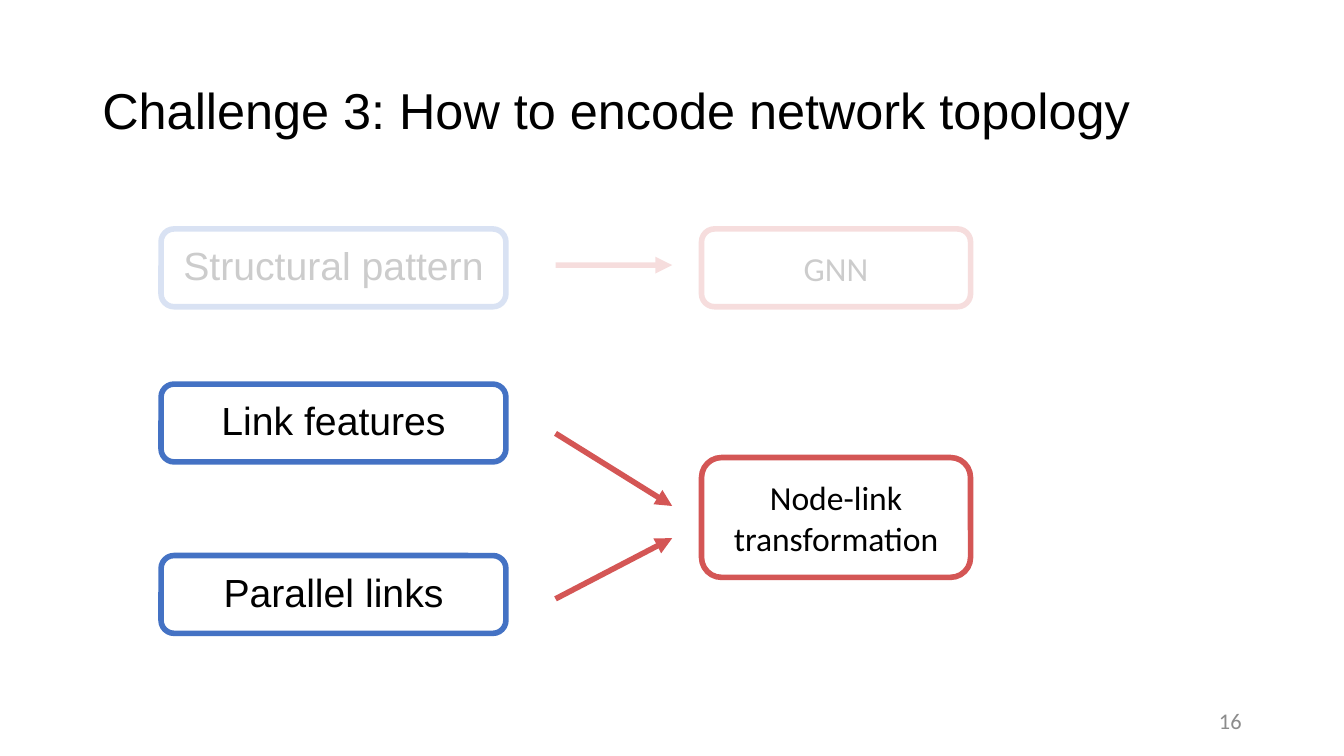
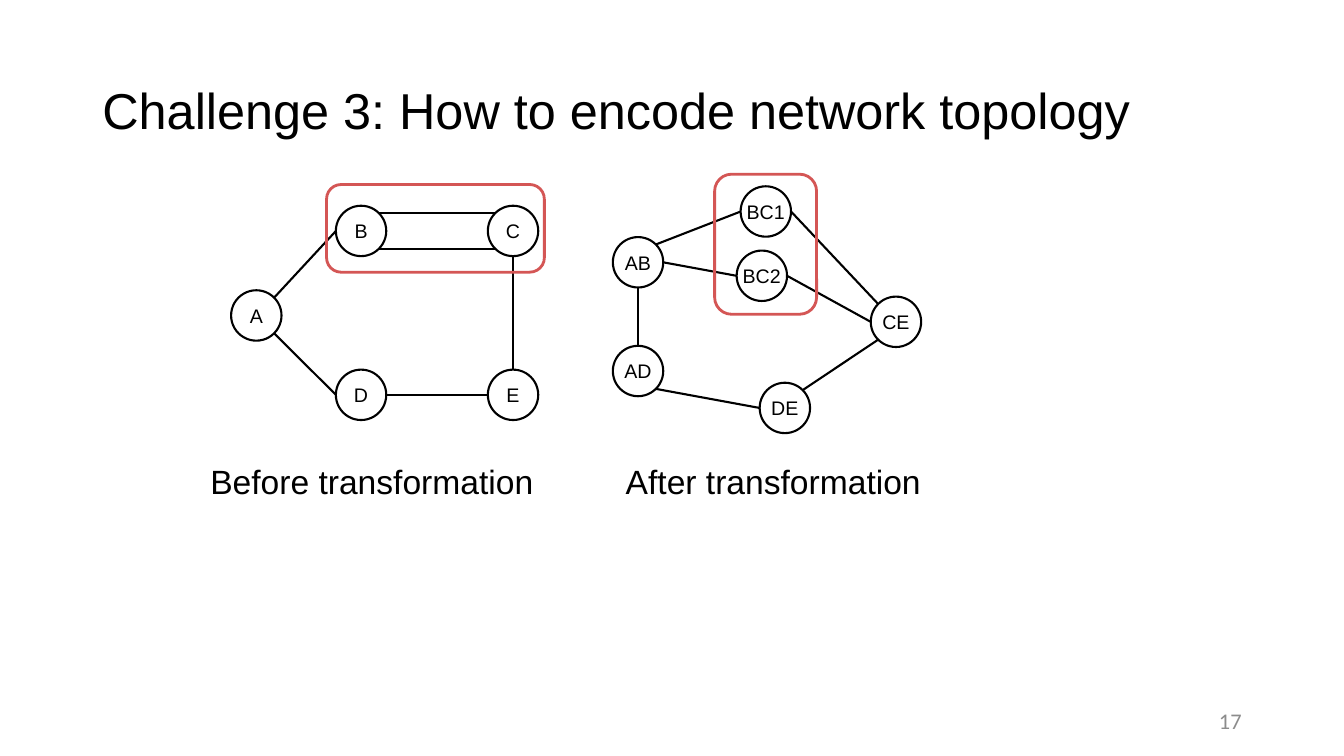
from math import sqrt

from lxml.etree import SubElement
from pptx import Presentation
from pptx.dml.color import RGBColor
from pptx.enum.shapes import MSO_CONNECTOR, MSO_SHAPE
from pptx.enum.text import MSO_ANCHOR, PP_ALIGN
from pptx.oxml.ns import qn
from pptx.util import Cm, Pt

BLACK = RGBColor(0x00, 0x00, 0x00)
WHITE = RGBColor(0xFF, 0xFF, 0xFF)
BLUE = RGBColor(0x44, 0x72, 0xC4)
RED = RGBColor(0xD4, 0x56, 0x55)
GREY = RGBColor(0x8C, 0x8C, 0x8C)

HEADING_FONT = "Arial"
BODY_FONT = "Calibri"
TITLE = "Challenge 3: How to encode network topology"

NODE_RADIUS = 0.635
DIAGONAL = sqrt(0.5)
RIM = {
    "n": (0, -1), "s": (0, 1), "w": (-1, 0), "e": (1, 0),
    "nw": (-DIAGONAL, -DIAGONAL), "ne": (DIAGONAL, -DIAGONAL),
    "sw": (-DIAGONAL, DIAGONAL), "se": (DIAGONAL, DIAGONAL),
}

BEFORE_NODES = {
    "A": (6.46, 7.95), "B": (9.1, 5.82), "C": (12.93, 5.82),
    "D": (9.1, 9.95), "E": (12.93, 9.95),
}
BEFORE_LINKS = [
    ("A", "ne", "B", "w"), ("A", "se", "D", "w"),
    ("B", "ne", "C", "nw"), ("B", "se", "C", "sw"),
    ("C", "s", "E", "n"), ("D", "e", "E", "w"),
]
AFTER_NODES = {
    "AB": (16.08, 6.61), "BC1": (19.3, 5.33), "BC2": (19.2, 6.95),
    "CE": (22.58, 8.11), "AD": (16.08, 9.35), "DE": (19.78, 10.28),
}
AFTER_LINKS = [
    ("AB", "ne", "BC1", "w"), ("AB", "e", "BC2", "w"),
    ("BC1", "e", "CE", "nw"), ("BC2", "e", "CE", "w"),
    ("AB", "s", "AD", "n"), ("AD", "se", "DE", "w"),
    ("DE", "ne", "CE", "sw"),
]


def fade(element, container):
    for color in element.findall(f".//{qn(container)}/{qn('a:solidFill')}/{qn('a:srgbClr')}"):
        SubElement(color, qn("a:alpha"), val="20000")


def write(frame, text, size, font=HEADING_FONT, color=BLACK,
          align=PP_ALIGN.LEFT, anchor=MSO_ANCHOR.MIDDLE, spacing=None):
    frame.vertical_anchor = anchor
    paragraph = frame.paragraphs[0]
    paragraph.alignment = align
    paragraph.line_spacing = spacing
    run = paragraph.add_run()
    run.text = text
    run.font.name = font
    run.font.size = Pt(size)
    run.font.color.rgb = color


def add_label(slide, area, text, size, **style):
    frame = slide.shapes.add_textbox(*map(Cm, area)).text_frame
    frame.word_wrap = True
    write(frame, text, size, **style)


def add_outline(slide, preset, area, color, width, fill=None):
    outline = slide.shapes.add_shape(preset, *map(Cm, area))
    outline.shadow.inherit = False
    if fill is None:
        outline.fill.background()
    else:
        outline.fill.solid()
        outline.fill.fore_color.rgb = fill
    outline.line.color.rgb = color
    outline.line.width = Pt(width)
    return outline


def add_box(slide, area, text, color, size, font, spacing=None, faded=False):
    box = add_outline(slide, MSO_SHAPE.ROUNDED_RECTANGLE, area, color, 4, WHITE)
    write(box.text_frame, text, size, font, align=PP_ALIGN.CENTER, spacing=spacing)
    if faded:
        fade(box._element, "a:ln")
        fade(box._element, "a:rPr")


def add_feature(slide, top, text, faded=False):
    add_box(slide, (4.06, top, 8.69, 1.96), text, BLUE, 28, HEADING_FONT, 0.9, faded)


def add_method(slide, top, height, text, faded=False):
    add_box(slide, (17.68, top, 6.78, height), text, RED, 24, BODY_FONT, faded=faded)


def add_line(slide, start, end, color, width):
    line = slide.shapes.add_connector(
        MSO_CONNECTOR.STRAIGHT, *map(Cm, (*start, *end)))
    line.line.color.rgb = color
    line.line.width = Pt(width)
    SubElement(line._element.spPr, qn("a:effectLst"))
    return line


def add_arrow(slide, start_y, end_y, faded=False):
    arrow = add_line(slide, (14, start_y), (16.94, end_y), RED, 4)
    SubElement(arrow._element.spPr.find(qn("a:ln")), qn("a:tailEnd"), type="triangle")
    if faded:
        fade(arrow._element, "a:ln")


def add_node(slide, name, center):
    x, y = center
    area = (x - NODE_RADIUS, y - NODE_RADIUS, 2 * NODE_RADIUS, 2 * NODE_RADIUS)
    node = add_outline(slide, MSO_SHAPE.OVAL, area, BLACK, 1.5)
    node.text_frame.word_wrap = False
    write(node.text_frame, name, 14, align=PP_ALIGN.CENTER)


def rim_point(center, side):
    return tuple(c + NODE_RADIUS * d for c, d in zip(center, RIM[side]))


def add_network(slide, nodes, links, highlight, caption, caption_left):
    for name, center in nodes.items():
        add_node(slide, name, center)
    for source, source_side, target, target_side in links:
        add_line(slide, rim_point(nodes[source], source_side),
                 rim_point(nodes[target], target_side), BLACK, 1.5)
    add_outline(slide, MSO_SHAPE.ROUNDED_RECTANGLE, highlight, RED, 2)
    add_label(slide, (caption_left, 11.5, 8.94, 1.27), caption, 24,
              anchor=MSO_ANCHOR.TOP)


def add_slide(deck, number):
    slide = deck.slides.add_slide(deck.slide_layouts[6])
    add_label(slide, (2.33, 1.02, 29.21, 3.68), TITLE, 36, spacing=0.9)
    add_label(slide, (23.92, 17.65, 7.62, 1.01), str(number), 16,
              font=BODY_FONT, color=GREY, align=PP_ALIGN.RIGHT)
    return slide


def build_challenges(deck):
    slide = add_slide(deck, 16)
    add_feature(slide, 5.77, "Structural pattern", faded=True)
    add_feature(slide, 9.68, "Link features")
    add_feature(slide, 14, "Parallel links")
    add_method(slide, 5.77, 1.96, "GNN", faded=True)
    add_method(slide, 11.53, 3.02, "Node-link transformation")
    add_arrow(slide, 6.68, 6.68, faded=True)
    add_arrow(slide, 10.92, 12.75)
    add_arrow(slide, 15.09, 13.56)


def build_transformation(deck):
    slide = add_slide(deck, 17)
    add_network(slide, BEFORE_NODES, BEFORE_LINKS, (8.23, 4.65, 5.49, 2.21),
                "Before transformation", 5.05)
    add_network(slide, AFTER_NODES, AFTER_LINKS, (18.01, 4.39, 2.57, 3.53),
                "After transformation", 15.52)


def main():
    deck = Presentation()
    deck.slide_width = Cm(33.87)
    deck.slide_height = Cm(19.05)
    build_challenges(deck)
    build_transformation(deck)
    deck.save("out.pptx")


if __name__ == "__main__":
    main()
